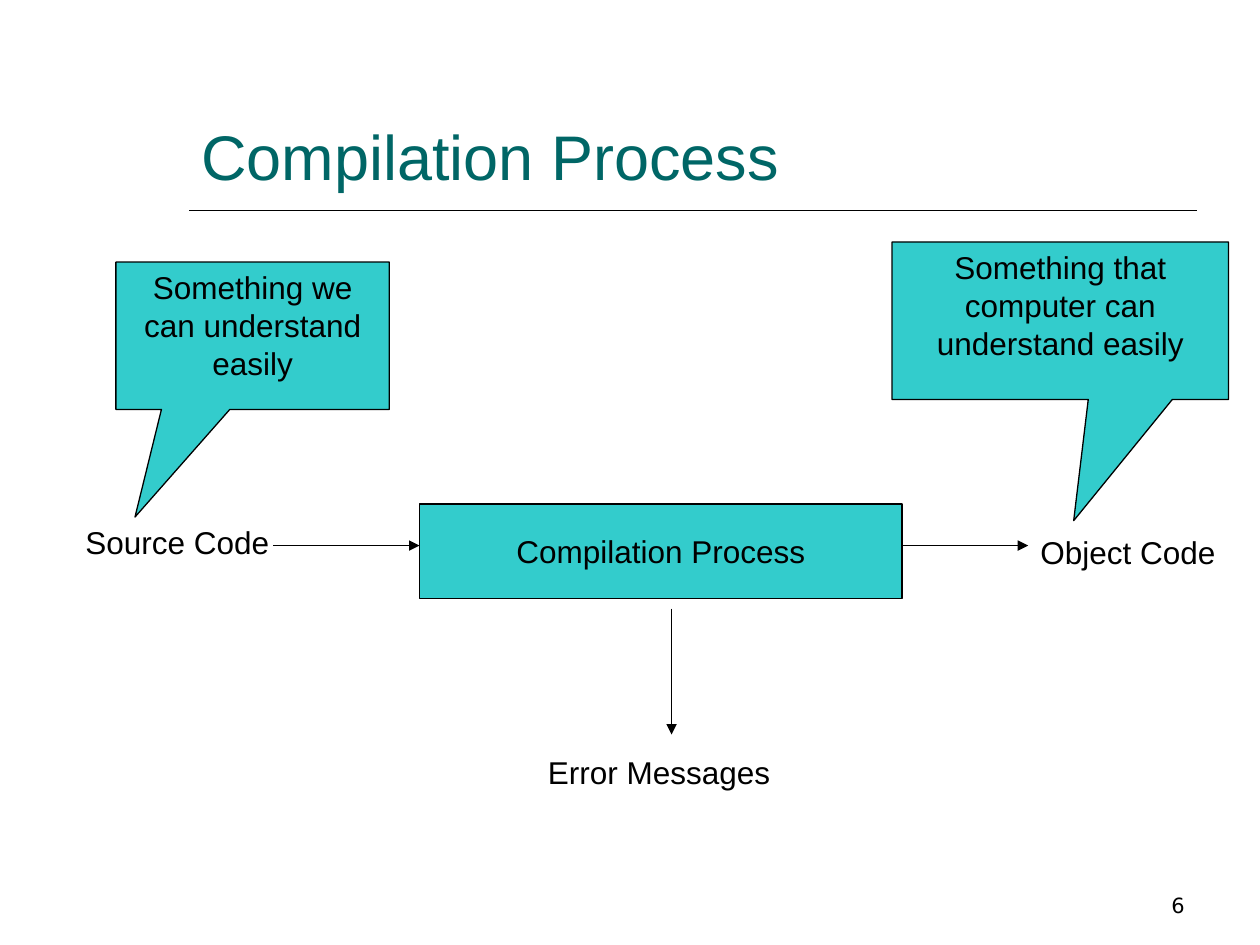
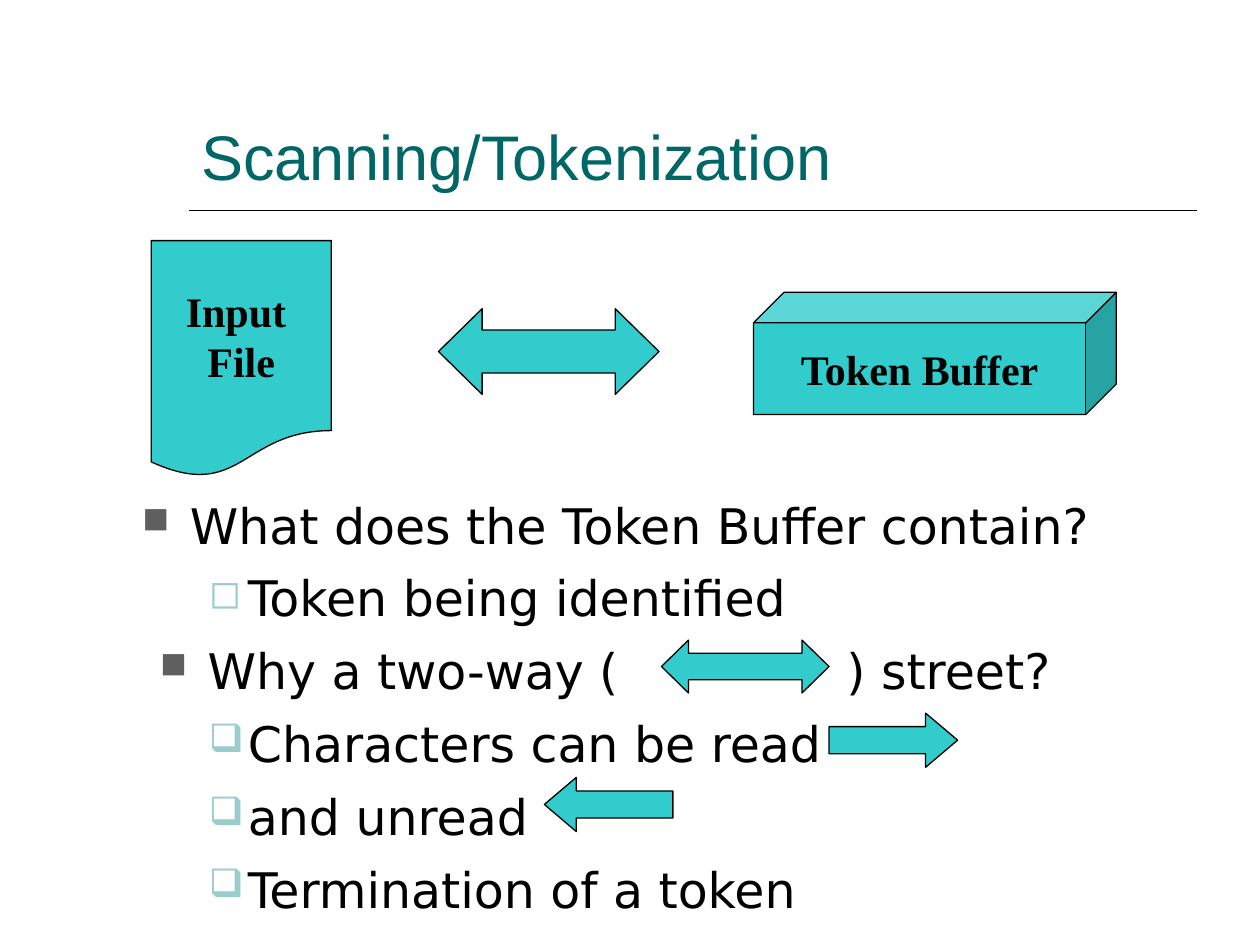
from dataclasses import dataclass

from lxml import etree
from pptx import Presentation
from pptx.dml.color import RGBColor
from pptx.enum.shapes import MSO_CONNECTOR, MSO_SHAPE
from pptx.enum.text import MSO_ANCHOR, PP_ALIGN
from pptx.oxml.ns import qn
from pptx.util import Inches, Pt

STRAIGHT = MSO_CONNECTOR.STRAIGHT
RECTANGLE = MSO_SHAPE.RECTANGLE
CALLOUT = MSO_SHAPE.RECTANGULAR_CALLOUT
DOCUMENT = MSO_SHAPE.FLOWCHART_DOCUMENT
CUBE = MSO_SHAPE.CUBE
TWO_WAY = MSO_SHAPE.LEFT_RIGHT_ARROW
RIGHT_ARROW = MSO_SHAPE.RIGHT_ARROW
LEFT_ARROW = MSO_SHAPE.LEFT_ARROW
TOP, MIDDLE, BOTTOM = MSO_ANCHOR.TOP, MSO_ANCHOR.MIDDLE, MSO_ANCHOR.BOTTOM
LEFT, CENTER, RIGHT = PP_ALIGN.LEFT, PP_ALIGN.CENTER, PP_ALIGN.RIGHT


@dataclass(frozen=True)
class TextStyle:
    font: str
    size: float
    color: str = "000000"
    bold: bool = False


@dataclass(frozen=True)
class Theme:
    fill: str = "33CCCC"
    line: str = "000000"
    thin: float = 0.75
    rule: float = 1
    title: TextStyle = TextStyle("Arial", 36, "006666")
    label: TextStyle = TextStyle("Arial", 18)
    block: TextStyle = TextStyle("Times New Roman", 24, bold=True)
    body: TextStyle = TextStyle("DejaVu Sans", 28)
    number: TextStyle = TextStyle("DejaVu Sans", 12)
    body_gap: float = 8


@dataclass(frozen=True)
class Bullet:
    symbol: str
    color: str
    percent: int
    margin: float
    hanging: float


THEME = Theme()
QUESTION = Bullet("■", "5F5F5F", 75, 0.38, 0.38)
INSET_QUESTION = Bullet("■", "5F5F5F", 75, 0.52, 0.38)
ANSWER = Bullet("◻", "99CCCC", 80, 0.84, 0.31)
CHECK = Bullet("❑", "99CCCC", 80, 0.84, 0.31)


def inches(*lengths):
    return [Inches(length) for length in lengths]


def add_run(paragraph, text, style):
    run = paragraph.add_run()
    run.text = text
    run.font.name = style.font
    run.font.size = Pt(style.size)
    run.font.bold = style.bold
    run.font.color.rgb = RGBColor.from_string(style.color)


def write(shape, lines, style, align=LEFT, anchor=TOP, wrap=True):
    frame = shape.text_frame
    frame.word_wrap = wrap
    frame.vertical_anchor = anchor
    for index, line in enumerate(lines):
        paragraph = frame.add_paragraph() if index else frame.paragraphs[0]
        paragraph.alignment = align
        add_run(paragraph, line, style)


def add_text(slide, box, text, style, align=LEFT, anchor=TOP):
    shape = slide.shapes.add_textbox(*inches(*box))
    write(shape, [text], style, align, anchor)


def add_block(slide, preset, box, adjustments=()):
    shape = slide.shapes.add_shape(preset, *inches(*box))
    shape.shadow.inherit = False
    shape.fill.solid()
    shape.fill.fore_color.rgb = RGBColor.from_string(THEME.fill)
    shape.line.color.rgb = RGBColor.from_string(THEME.line)
    shape.line.width = Pt(THEME.thin)
    for index, value in enumerate(adjustments):
        shape.adjustments[index] = value
    return shape


def add_line(slide, start, end, width, arrow=False):
    connector = slide.shapes.add_connector(STRAIGHT, *inches(*start, *end))
    connector.line.color.rgb = RGBColor.from_string(THEME.line)
    connector.line.width = Pt(width)
    properties = connector._element.spPr
    if arrow:
        outline = properties.find(qn("a:ln"))
        etree.SubElement(outline, qn("a:tailEnd"), type="triangle")
    etree.SubElement(properties, qn("a:effectLst"))


def set_bullet(paragraph, bullet, tab=None):
    """Give the paragraph a hanging bullet and, if asked, one left tab stop."""
    properties = paragraph._p.get_or_add_pPr()
    properties.set("marL", str(Inches(bullet.margin)))
    properties.set("indent", str(-Inches(bullet.hanging)))
    color = etree.SubElement(properties, qn("a:buClr"))
    etree.SubElement(color, qn("a:srgbClr"), val=bullet.color)
    etree.SubElement(properties, qn("a:buSzPct"), val=str(bullet.percent * 1000))
    etree.SubElement(properties, qn("a:buChar"), char=bullet.symbol)
    if tab:
        tabs = etree.SubElement(properties, qn("a:tabLst"))
        etree.SubElement(tabs, qn("a:tab"), pos=str(Inches(tab)), algn="l")


def add_titled_slide(presentation, title):
    slide = presentation.slides.add_slide(presentation.slide_layouts[6])
    add_line(slide, (1.5, 1.67), (9.5, 1.67), THEME.rule)
    add_text(slide, (1.5, 0.33, 8, 1.25), title, THEME.title, anchor=BOTTOM)
    return slide


def add_process_flow(slide, box):
    """Draw the process block in box, with its input and two outputs around it."""
    left, top, width, height = box
    right = left + width
    arrow_y = top + 0.33
    arrow_x = left + 2
    add_text(slide, (left - 2.75, top + 0.1, 1.83, 0.4), "Source Code", THEME.label)
    add_text(slide, (right + 1, top + 0.18, 1.83, 0.4), "Object Code", THEME.label)
    add_text(slide, (left + 0.92, top + 1.93, 2.08, 0.4), "Error Messages", THEME.label)
    process = add_block(slide, RECTANGLE, box)
    write(process, ["Compilation Process"], THEME.label, CENTER, MIDDLE, wrap=False)
    for start, end in (
        ((left - 1.16, arrow_y), (left, arrow_y)),
        ((right, arrow_y), (right + 1, arrow_y)),
        ((arrow_x, top + 0.83), (arrow_x, top + 1.83)),
    ):
        add_line(slide, start, end, THEME.thin, arrow=True)


def add_callout(slide, box, pointer, text):
    callout = add_block(slide, CALLOUT, box, pointer)
    write(callout, [text], THEME.label, CENTER)


def add_buffer_diagram(slide, box):
    left, top, width, height = box
    document = add_block(slide, DOCUMENT, (left, top, 1.43, height))
    write(document, ["Input ", "File"], THEME.block, CENTER, MIDDLE, wrap=False)
    buffer = add_block(slide, CUBE, (left + width - 2.88, top + 0.41, 2.88, 0.97), (0.25,))
    write(buffer, ["Token Buffer"], THEME.block, CENTER, MIDDLE, wrap=False)
    add_block(slide, TWO_WAY, (left + 2.28, top + 0.54, 1.75, 0.68), (0.5, 0.51))


def add_questions(slide, box):
    """Write the bullet list in box and set the arrows beside its lines."""
    left, top = box[:2]
    frame = slide.shapes.add_textbox(*inches(*box)).text_frame
    frame.word_wrap = True
    items = (
        ("What does the Token Buffer contain?", QUESTION, None),
        ("Token being identified", ANSWER, None),
        ("Why a two-way (\t) street?", INSET_QUESTION, 5.59),
        ("Characters can be read", CHECK, None),
        ("and unread", CHECK, None),
        ("Termination of a token", CHECK, None),
    )
    for index, (text, bullet, tab) in enumerate(items):
        paragraph = frame.add_paragraph() if index else frame.paragraphs[0]
        set_bullet(paragraph, bullet, tab)
        if index:
            paragraph.space_before = Pt(THEME.body_gap)
        add_run(paragraph, text, THEME.body)
    for preset, x, y, width, height, head in (
        (TWO_WAY, 4.22, 1.2, 1.33, 0.42, 0.51),
        (RIGHT_ARROW, 5.55, 1.78, 1.02, 0.43, 0.59),
        (LEFT_ARROW, 3.29, 2.29, 1.02, 0.43, 0.59),
    ):
        add_block(slide, preset, (left + x, top + y, width, height), (0.5, head))


def build_compilation_slide(presentation):
    slide = add_titled_slide(presentation, "Compilation Process")
    add_process_flow(slide, (3.33, 4, 3.83, 0.75))
    add_callout(slide, (0.92, 2.08, 2.17, 1.17), (-0.43, 1.23),
                "Something we can understand easily")
    add_callout(slide, (7.08, 1.92, 2.67, 1.25), (0.04, 1.27),
                "Something that computer can understand easily")
    add_text(slide, (7.17, 6.83, 2.33, 0.5), "6", THEME.number, RIGHT, BOTTOM)


def build_scanning_slide(presentation):
    slide = add_titled_slide(presentation, "Scanning/Tokenization")
    add_buffer_diagram(slide, (1.2, 1.91, 7.66, 1.88))
    add_questions(slide, (1.03, 3.88, 8.17, 3.34))


def main():
    presentation = Presentation()
    presentation.slide_width, presentation.slide_height = inches(10, 7.5)
    build_compilation_slide(presentation)
    build_scanning_slide(presentation)
    presentation.save("out.pptx")


if __name__ == "__main__":
    main()
